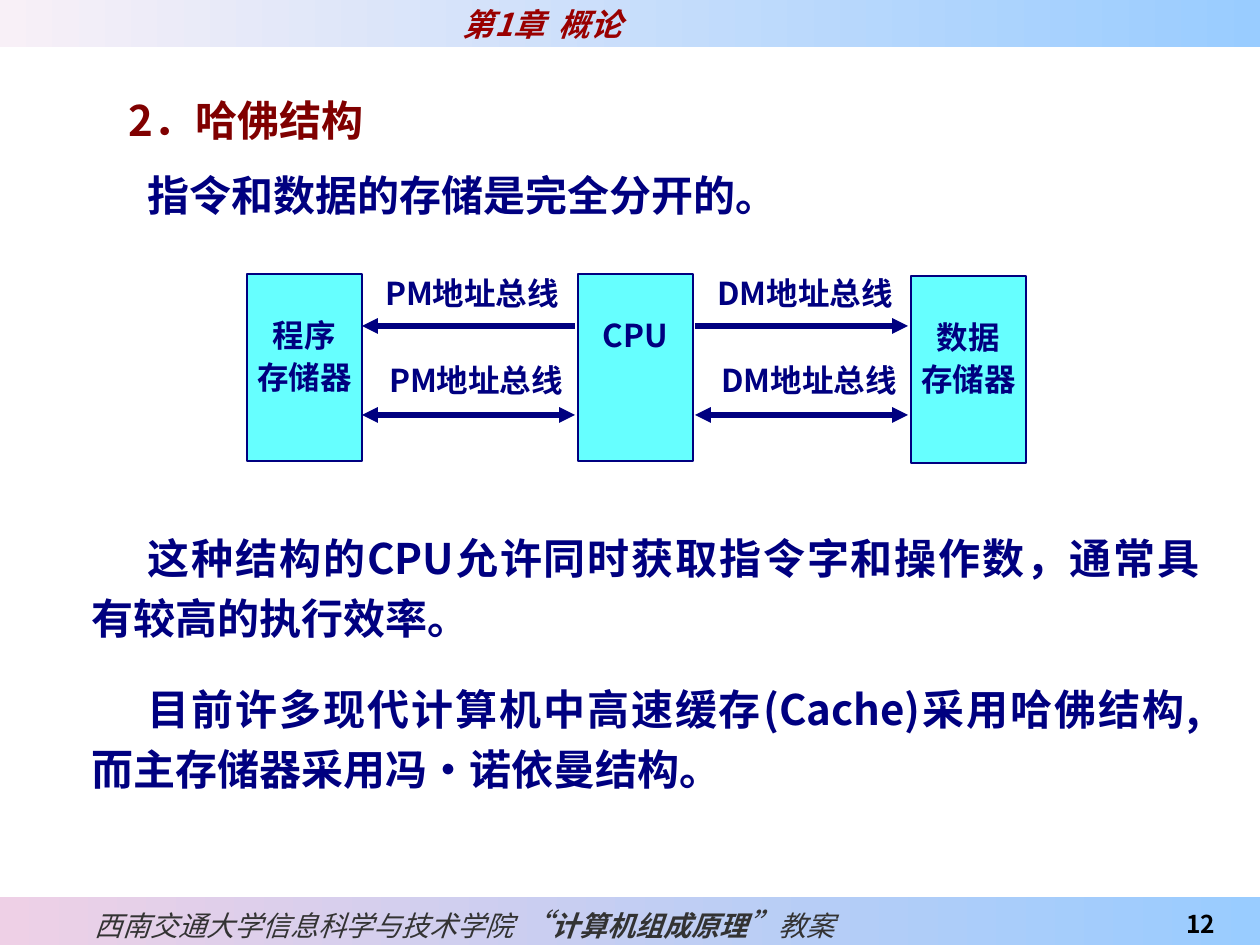
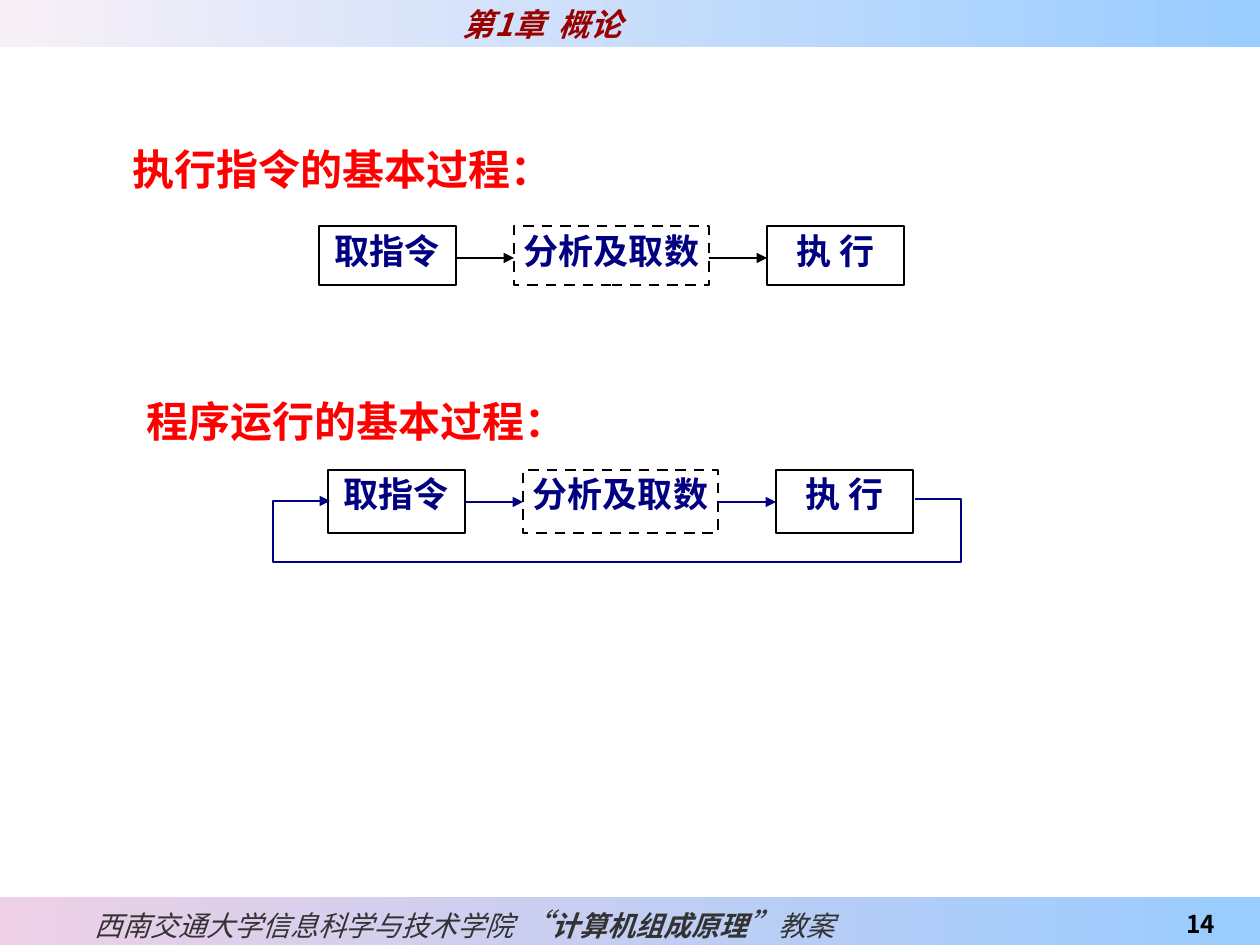
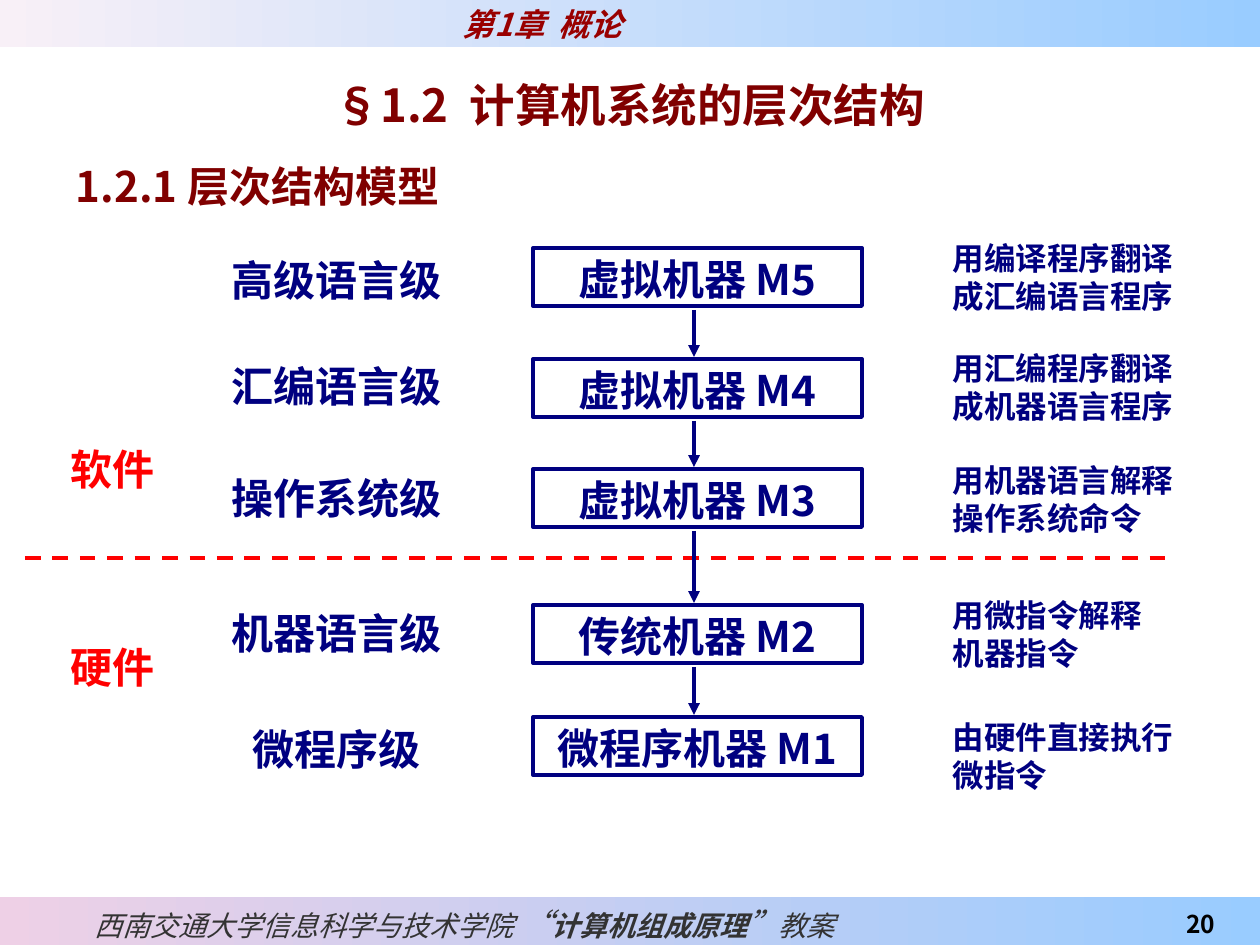
from pptx import Presentation
from pptx import util as u
from pptx.dml.color import RGBColor
from pptx.enum import dml, shapes, text
from pptx.oxml.ns import qn
from lxml import etree

SCALE = 914400 / 126
FONT = "Noto Sans CJK SC"
COLORS = {
    "navy": "000080", "maroon": "800000", "chapter": "990000", "red": "FF0000",
    "black": "000000", "white": "FFFFFF", "gray": "333333", "cyan": "66FFFF",
    "blue": "99CCFF", "pink": "EED0E6", "pale": "F8F0F7",
}
LEFT, CENTER, RIGHT, JUSTIFY = (
    text.PP_ALIGN.LEFT, text.PP_ALIGN.CENTER, text.PP_ALIGN.RIGHT, text.PP_ALIGN.JUSTIFY)
WIDTH, HEIGHT = 1260, 945


def px(length):
    return u.Emu(round(length * SCALE))


def color(name):
    return RGBColor.from_string(COLORS[name])


def add_run(paragraph, words, size, ink, bold=True, italic=False):
    run = paragraph.add_run()
    run.text = words
    font = run.font
    font.size, font.bold, font.italic, font.name = u.Pt(size), bold, italic, FONT
    font.color.rgb = color(ink)
    latin = font._element.find(qn("a:latin"))
    east_asian = etree.Element(qn("a:ea"), typeface=FONT)
    latin.addnext(east_asian)


def add_paragraph(frame, runs, size, align=LEFT, pitch=None, before=0, indent=0):
    """Add a line of (words, size, ink, bold, italic) runs, pitch px high."""
    first = frame.paragraphs[0]
    paragraph = frame.add_paragraph() if first.runs else first
    paragraph.alignment = align
    paragraph.line_spacing = px(pitch or round(size * 1.75 * 1.2))
    paragraph.space_before = px(before)
    if indent:
        paragraph._p.get_or_add_pPr().set("indent", str(px(indent)))
    for run in runs:
        add_run(paragraph, *run)


def prepare_frame(shape, inset, side=13):
    frame = shape.text_frame
    frame.word_wrap = True
    frame.vertical_anchor = text.MSO_ANCHOR.TOP
    frame.margin_left = frame.margin_right = px(side)
    frame.margin_top, frame.margin_bottom = px(inset), 0
    return frame


def add_label(slide, box, lines, size, ink="navy", align=LEFT, inset=10):
    shape = slide.shapes.add_textbox(*map(px, box))
    frame = prepare_frame(shape, inset)
    for line in lines.split("\n"):
        add_paragraph(frame, [(line, size, ink)], size, align)


def style_line(line, ink, weight, dashed=False, head=False, tail=False):
    line.color.rgb = color(ink)
    line.width = u.Pt(weight)
    if dashed:
        line.dash_style = dml.MSO_LINE.DASH
    for end, wanted in (("headEnd", head), ("tailEnd", tail)):
        if wanted:
            etree.SubElement(line._get_or_add_ln(), qn(f"a:{end}"), type="triangle")


def add_box(slide, box, lines, size, ink, weight, fill=None, dashed=False,
            inset=3, pitch=None):
    shape = slide.shapes.add_shape(shapes.MSO_SHAPE.RECTANGLE, *map(px, box))
    shape.shadow.inherit = False
    if fill:
        shape.fill.solid()
        shape.fill.fore_color.rgb = color(fill)
    else:
        shape.fill.background()
    style_line(shape.line, ink, weight, dashed)
    frame = prepare_frame(shape, inset, side=0)
    for line in lines.split("\n"):
        add_paragraph(frame, [(line, size, "navy")], size, CENTER, pitch)


def add_line(slide, start, end, ink, weight, **ends):
    connector = slide.shapes.add_connector(
        shapes.MSO_CONNECTOR.STRAIGHT, *map(px, (*start, *end)))
    style_line(connector.line, ink, weight, **ends)
    etree.SubElement(connector._element.spPr, qn("a:effectLst"))


def add_band(slide, top, height, inks, left_margin, inset, runs):
    """Add a full-width gradient band whose text starts at left_margin."""
    band = slide.shapes.add_shape(
        shapes.MSO_SHAPE.RECTANGLE, 0, px(top), px(WIDTH), px(height))
    band.shadow.inherit = False
    band.line.fill.background()
    band.fill.gradient()
    band.fill.gradient_angle = 0
    for stop, ink in zip(band.fill.gradient_stops, inks):
        stop.color.rgb = color(ink)
    frame = prepare_frame(band, inset)
    frame.margin_left = px(left_margin)
    add_paragraph(frame, runs, 18)


def new_slide(presentation, number):
    slide = presentation.slides.add_slide(presentation.slide_layouts[6])
    add_band(slide, 897, 48, ("pink", "blue"), 95, 8, [
        ("西南交通大学信息科学与技术学院 ", 16, "gray", False, True),
        ("“", 18, "gray", False, True),
        ("计算机组成原理", 16, "gray", True, True),
        ("”", 18, "gray", False, True),
        ("教案", 16, "gray", False, True)])
    add_label(slide, (1092, 896, 136, 48), str(number), 14, "black", RIGHT, 13)
    add_band(slide, 0, 47, ("pale", "blue"), 463, 5,
             [("第1章  概论", 18, "chapter", True, True)])
    return slide


def harvard_slide(presentation):
    slide = new_slide(presentation, 12)
    body = slide.shapes.add_textbox(*map(px, (79, 59, 1134, 740)))
    frame = prepare_frame(body, 11)
    add_paragraph(frame, [("2．哈佛结构", 24, "maroon")], 24, pitch=75, indent=37)
    for words, pitch, before in (
            ("指令和数据的存储是完全分开的。", 75, 0),
            ("这种结构的CPU允许同时获取指令字和操作数，通常具有较高的执行效率。", 60, 303),
            ("目前许多现代计算机中高速缓存(Cache)采用哈佛结构,而主存储器采用冯·诺依曼结构。",
             60, 31)):
        add_paragraph(frame, [(words, 24, "navy")], 24, JUSTIFY, pitch, before, 56)

    for left, top, name in ((247, 274, "程序\n存储器"), (578, 274, "CPU"),
                            (911, 276, "数据\n存储器")):
        add_box(slide, (left, top, 115, 187), name, 18, "navy", 0.75, "cyan",
                inset=38, pitch=42)
    for left, name in ((354, "PM地址总线"), (687, "DM地址总线")):
        for top, shift in ((270, 0), (357, 4)):
            add_label(slide, (left + shift, top, 236, 72), name, 18,
                      align=CENTER, inset=4)
    for start, end, y, head in ((575, 362, 326, False), (695, 908, 326, False),
                                (575, 362, 415, True), (695, 908, 415, True)):
        add_line(slide, (start, y), (end, y), "navy", 3, head=head, tail=True)


def add_flow(slide, left, top, height, arrow_ink):
    """Add the three instruction steps with arrows in the gaps."""
    gap = 58
    for name, width, dashed in (("取指令", 137, False), ("分析及取数", 195, True),
                                ("执 行", 137, False)):
        add_box(slide, (left, top, width, height), name, 20, "black", 1.5, "white",
                dashed)
        left += width
        if name != "执 行":
            add_line(slide, (left, top + 32), (left + gap, top + 32), arrow_ink, 1.5,
                     tail=True)
        left += gap


def add_loop(slide, points):
    builder = slide.shapes.build_freeform(*points[0], scale=SCALE)
    builder.add_line_segments(points[1:], close=False)
    loop = builder.convert_to_shape()
    loop.shadow.inherit = False
    loop.fill.background()
    style_line(loop.line, "navy", 1.5, tail=True)


def process_slide(presentation):
    slide = new_slide(presentation, 14)
    add_flow(slide, 319, 226, 59, "black")
    add_label(slide, (120, 134, 1120, 63), "执行指令的基本过程：", 24, "red")
    add_flow(slide, 328, 470, 63, "navy")
    add_loop(slide, [(915, 499), (961, 499), (961, 562), (273, 562), (273, 501),
                     (330, 501)])
    add_label(slide, (134, 386, 1126, 63), "程序运行的基本过程：", 24, "red")


def layers_slide(presentation):
    slide = new_slide(presentation, 20)
    add_label(slide, (0, 67, WIDTH, 60), "§1.2  计算机系统的层次结构", 26, "maroon", CENTER)
    add_label(slide, (63, 151, 1197, 57), "1.2.1 层次结构模型", 24, "maroon")
    add_line(slide, (25, 558), (1176, 558), "red", 2.25, dashed=True)

    box_height = 58
    layers = (
        (248, 249, 229, "高级语言级", "虚拟机器 M5", "用编译程序翻译\n成汇编语言程序"),
        (359, 355, 339, "汇编语言级", "虚拟机器 M4", "用汇编程序翻译\n成机器语言程序"),
        (469, 467, 451, "操作系统级", "虚拟机器 M3", "用机器语言解释\n操作系统命令"),
        (605, 602, 586, "机器语言级", "传统机器 M2", "用微指令解释\n机器指令"),
        (717, 718, 708, "微程序级", "微程序机器 M1", "由硬件直接执行\n微指令"))
    for top, level_top, note_top, level, machine, note in layers:
        add_label(slide, (204, level_top, 266, box_height), level, 24,
                  align=CENTER, inset=6)
        add_box(slide, (533, top, 329, box_height), machine, 24, "navy", 2.25, inset=6)
        add_label(slide, (940, note_top, 266, 88), note, 18)
    for upper, lower in zip(layers, layers[1:]):
        add_line(slide, (694, upper[0] + box_height + 4), (694, lower[0] - 2),
                 "navy", 2.25, tail=True)
    for top, name in ((438, "软件"), (636, "硬件")):
        add_label(slide, (37, top, 152, box_height), name, 24, "red", CENTER, 6)


def main():
    presentation = Presentation()
    presentation.slide_width, presentation.slide_height = px(WIDTH), px(HEIGHT)
    harvard_slide(presentation)
    process_slide(presentation)
    layers_slide(presentation)
    presentation.save("out.pptx")


if __name__ == "__main__":
    main()
